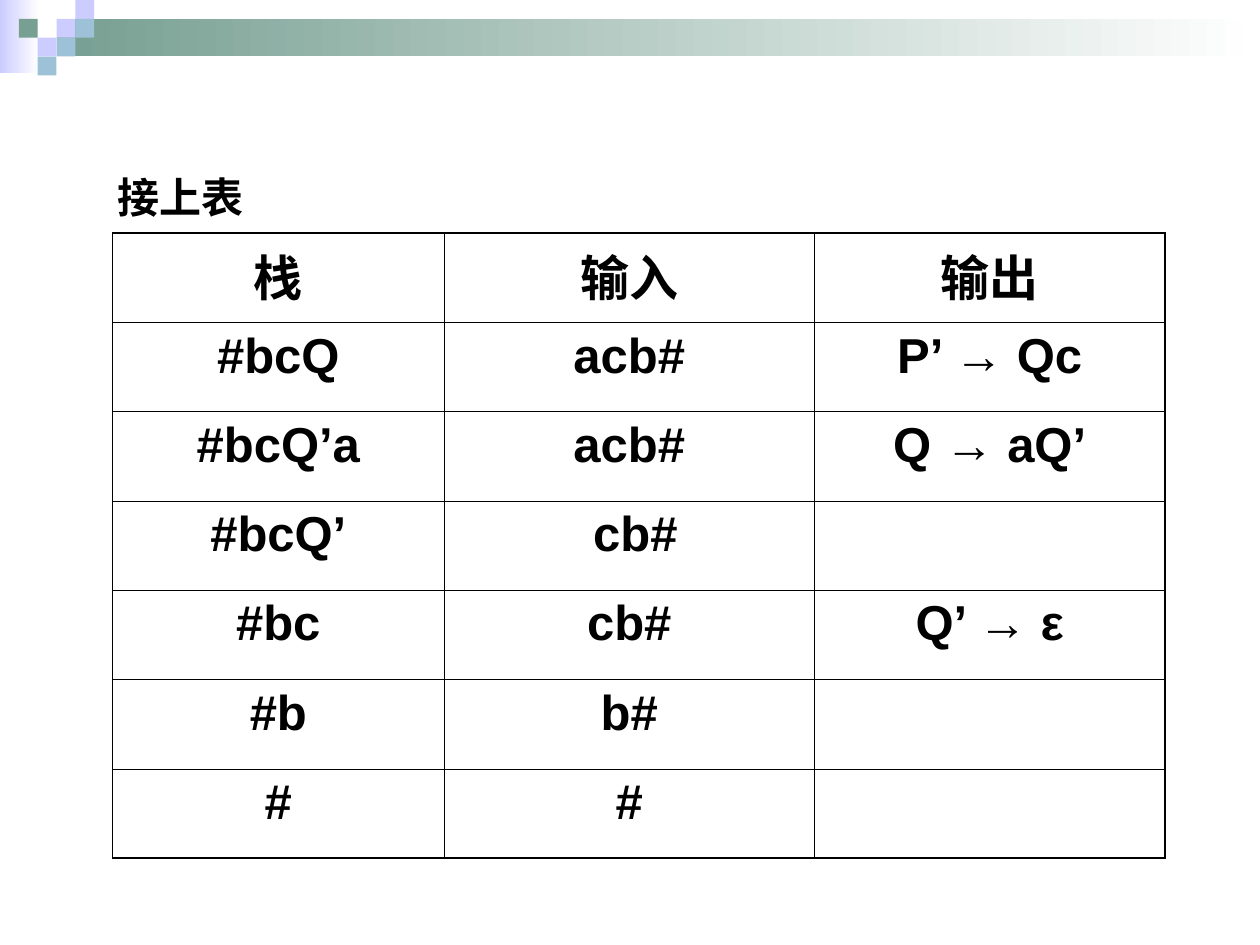
"""Build the slide that continues the parsing table of stack, input and output."""
from collections import namedtuple

from lxml.etree import SubElement
from pptx import Presentation
from pptx.dml.color import RGBColor
from pptx.enum.shapes import MSO_SHAPE as Shape
from pptx.enum.text import MSO_ANCHOR as Anchor, MSO_AUTO_SIZE as AutoSize, PP_ALIGN as Align
from pptx.oxml.ns import qn
from pptx.util import Cm, Pt

Theme = namedtuple("Theme", "ink lilac blue green white caption_size cell_size caption_font cell_font")
theme = Theme("000000", "CCCCFF", "9DC2D7", "779F92", "FFFFFF", Pt(24), Pt(28), "Roboto", "Arial")
THIN, THICK = Pt(0.45), Pt(1.08)
TILE = 0.38
ARROW = "→"


def add_block(page, left, top, width, height, color, fade=False):
    block = page.shapes.add_shape(Shape.RECTANGLE, Cm(left), Cm(top), Cm(width), Cm(height))
    block.shadow.inherit = False
    block.line.fill.background()
    if fade:
        block.fill.gradient()
        block.fill.gradient_angle = 0
        for stop, position, shade in zip(block.fill.gradient_stops, (0, 1), (color, theme.white)):
            stop.position = position
            stop.color.rgb = RGBColor.from_string(shade)
    else:
        block.fill.solid()
        block.fill.fore_color.rgb = RGBColor.from_string(color)


def set_borders(cell, widths):
    properties = cell._tc.get_or_add_tcPr()
    for side, width in zip("LRTB", widths):
        line = SubElement(properties, qn(f"a:ln{side}"), w=str(width))
        fill = SubElement(line, qn("a:solidFill"))
        SubElement(fill, qn("a:srgbClr"), val=theme.ink)


deck = Presentation()
deck.slide_width, deck.slide_height = Cm(25.4), Cm(19.05)
page = deck.slides.add_slide(deck.slide_layouts[5])

add_block(page, 0, 0, 0.79, 1.47, theme.lilac, fade=True)
add_block(page, 1.14, TILE, 24.26, 0.76, theme.green, fade=True)
tiles = [
    (3, 1, theme.lilac), (4, 0, theme.lilac), (4, 1, theme.blue), (2, 2, theme.lilac),
    (1, 1, theme.green), (3, 2, theme.blue), (2, 3, theme.blue),
]
for column, row, color in tiles:
    add_block(page, column * TILE, row * TILE, TILE, TILE, color)

rows = [
    ("栈", "输入", "输出"),
    ("#bcQ", "acb#", "P’ → Qc"),
    ("#bcQ’a", "acb#", "Q → aQ’"),
    ("#bcQ’", "cb#", ""),
    ("#bc", "cb#", "Q’ → ε"),
    ("#b", "b#", ""),
    ("#", "#", ""),
]
widths = [6.68, 7.47, 7.06]
row_height = 1.8
last_row, last_column = len(rows) - 1, len(widths) - 1
frame = page.shapes.add_table(
    len(rows), len(widths), Cm(2.27), Cm(4.7), Cm(sum(widths)), Cm(row_height * len(rows)))
table = frame.table
table.first_row = table.horz_banding = False
for column, width in zip(table.columns, widths):
    column.width = Cm(width)

for r, texts in enumerate(rows):
    table.rows[r].height = Cm(row_height)
    for c, text in enumerate(texts):
        cell = table.cell(r, c)
        edges = (c == 0, c == last_column, r == 0, r == last_row)
        set_borders(cell, [THICK if edge else THIN for edge in edges])
        cell.fill.background()
        para = cell.text_frame.paragraphs[0]
        para.alignment = Align.CENTER
        para.space_before = Pt(7)
        for part in text.partition(ARROW):
            if part:
                span = para.add_run()
                span.text = part
                span.font.name = theme.cell_font
                span.font.size = theme.cell_size
                span.font.bold = part != ARROW
                span.font.color.rgb = RGBColor.from_string(theme.ink)
table.cell(3, 1).margin_left = Cm(0.5)

caption = page.shapes.title
caption.left, caption.top, caption.width, caption.height = Cm(2.11), Cm(3.33), Cm(3.05), Cm(1.27)
box = caption.text_frame
box.text = "接上表"
box.word_wrap = False
box.auto_size = AutoSize.NONE
box.vertical_anchor = Anchor.TOP
para = box.paragraphs[0]
para.alignment = Align.LEFT
span = para.runs[0]
span.font.name = theme.caption_font
span.font.size = theme.caption_size
span.font.bold = True
span.font.color.rgb = RGBColor.from_string(theme.ink)

deck.save("out.pptx")
